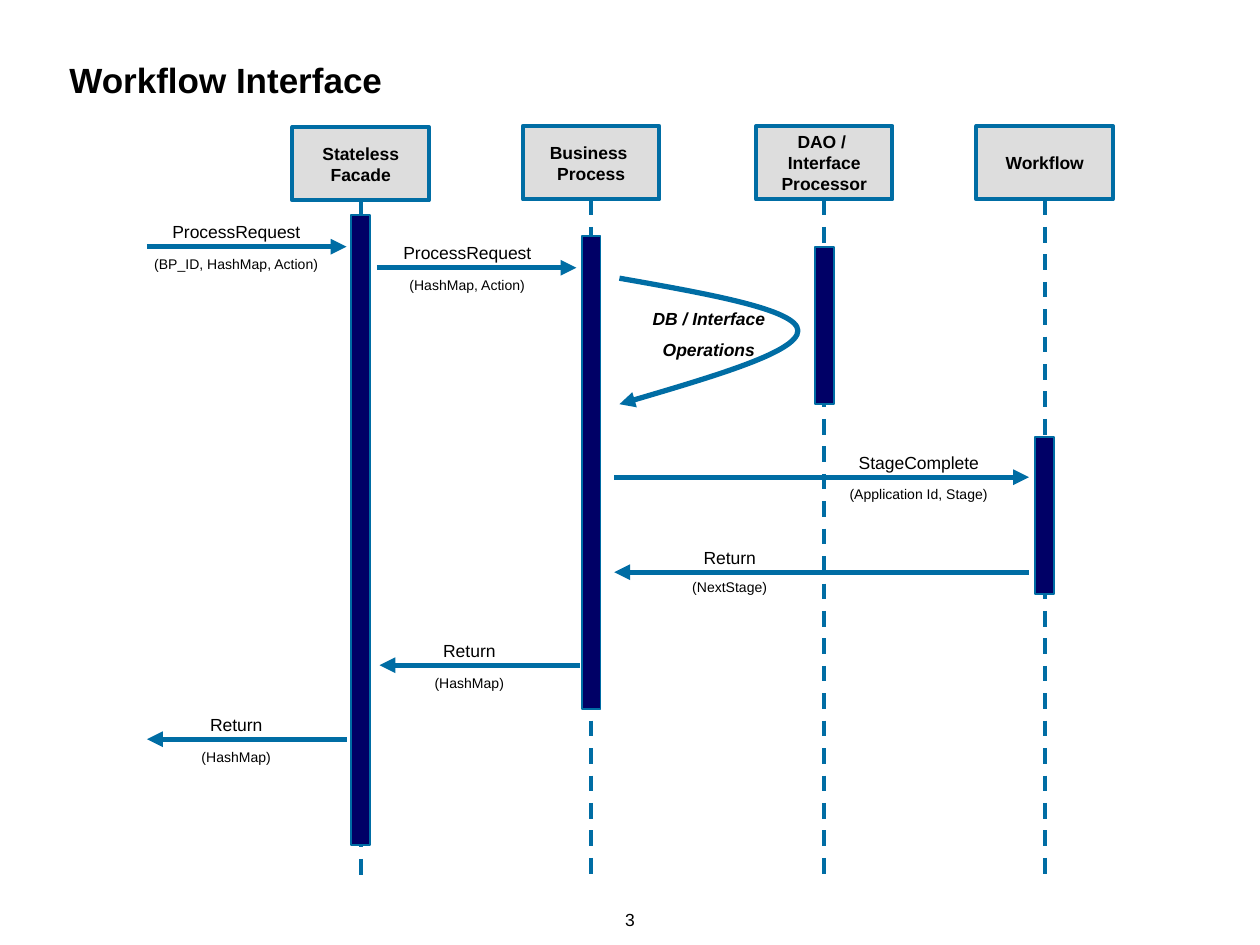
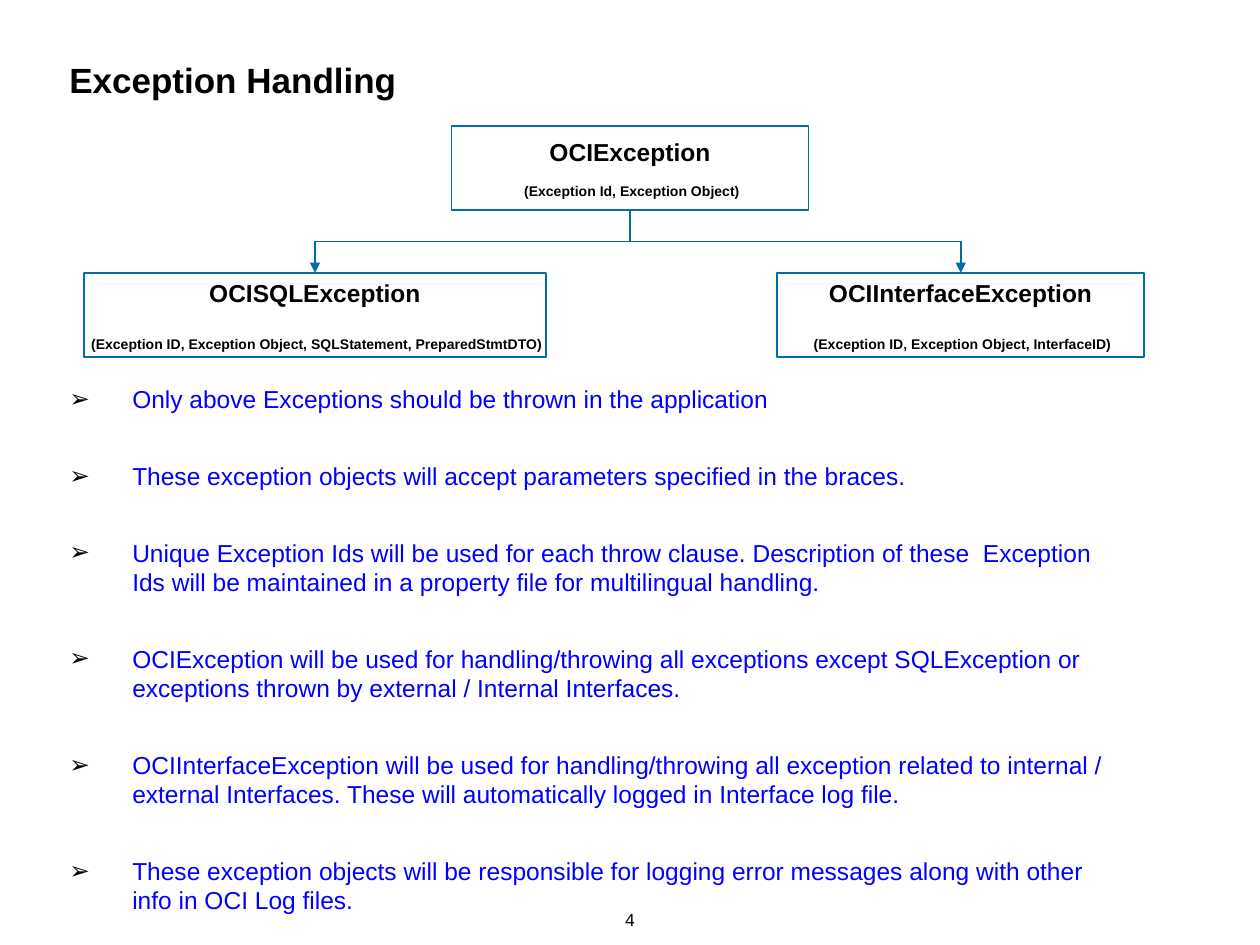
from lxml import etree
from pptx import Presentation
from pptx.dml.color import RGBColor
from pptx.enum.dml import MSO_LINE
from pptx.enum.shapes import MSO_CONNECTOR, MSO_SHAPE
from pptx.enum.text import MSO_ANCHOR, PP_ALIGN
from pptx.oxml.ns import qn
from pptx.util import Inches, Pt

UNIT = Inches(1) // 12
COLUMNS, ROWS = 120, 90
STRAIGHT, ELBOW = MSO_CONNECTOR.STRAIGHT, MSO_CONNECTOR.ELBOW
RECTANGLE = MSO_SHAPE.RECTANGLE
DASH = MSO_LINE.DASH
LEFT, CENTER = PP_ALIGN.LEFT, PP_ALIGN.CENTER
TOP, MIDDLE = MSO_ANCHOR.TOP, MSO_ANCHOR.MIDDLE
BOTTOM_SIDE, TOP_SIDE = 2, 0
FONT = "Arial"
BLACK, BLUE, TEAL, NAVY, GREY = "000000", "0000FF", "006DA4", "000066", "DDDDDD"

HEAD_WIDTH, HEAD_HEIGHT, BAR_WIDTH = 13, 7, 1.8
LIFELINE_END = 83.4
PARTICIPANTS = [
    (27.85, 12.1, ["Stateless", "Facade"], 20.5, 60),
    (49.8, 12, ["Business ", "Process"], 22.5, 45),
    (72, 12, ["DAO / ", "Interface", "Processor"], 23.5, 15),
    (93, 12, ["Workflow"], 41.6, 15),
]
MESSAGES = [
    (14, 33, 23.5, 15, "ProcessRequest", "(BP_ID, HashMap, Action)", 0.25),
    (35.9, 54.9, 25.5, 37, "ProcessRequest", "(HashMap, Action)", 0.25),
    (58.5, 98, 45.45, 80, "StageComplete", "(Application Id, Stage)", 0.25),
    (98, 58.5, 54.5, 62, "Return", "(NextStage)", 0),
    (55.2, 36.15, 63.35, 37.2, "Return", "(HashMap)", 0.35),
    (33, 14, 70.4, 15, "Return", "(HashMap)", 0.3),
]
LOOP_POINTS = [(59, 26.5), (67.5, 28), (76, 29.5), (76, 31.5),
               (76, 33.5), (67.5, 36), (59, 38.5)]
EXCEPTIONS = [
    (43, 12, 34, "OCIException", " (Exception Id, Exception Object)", 9.2),
    (8, 26, 44, "OCISQLException",
     " (Exception ID, Exception Object, SQLStatement, PreparedStmtDTO)", 16.1),
    (74, 26, 35, "OCIInterfaceException",
     " (Exception ID, Exception Object, InterfaceID)", 16.1),
]
RULES = [
    "Only above Exceptions should be thrown in the application",
    "These exception objects will accept parameters specified in the braces.",
    "Unique Exception Ids will be used for each throw clause. Description of these  "
    "Exception Ids will be maintained in a property file for multilingual handling.",
    "OCIException will be used for handling/throwing all exceptions except SQLException "
    "or exceptions thrown by external / Internal Interfaces.",
    "OCIInterfaceException will be used for handling/throwing all exception related to "
    "internal / external Interfaces. These will automatically logged in Interface log file.",
    "These exception objects will be responsible for logging error messages along with "
    "other info in OCI Log files.",
]


def color(value):
    """Turn a hex string into a colour."""
    return RGBColor.from_string(value)


def grid(*cells):
    """Turn grid units into lengths."""
    return [round(cell * UNIT) for cell in cells]


def set_frame(shape, inset=0.1, anchor=TOP, wrap=True):
    """Set the margins, anchor and wrapping of a text frame."""
    frame = shape.text_frame
    frame.margin_left = frame.margin_right = Inches(inset)
    frame.margin_top = frame.margin_bottom = Inches(0.05)
    frame.vertical_anchor = anchor
    frame.word_wrap = wrap
    return frame


def write(frame, text, size, before=0, align=CENTER, ink=BLACK, bold=False, italic=False):
    """Add one paragraph with one run to a text frame."""
    first = frame.paragraphs[0]
    para = frame.add_paragraph() if first.runs else first
    para.alignment = align
    para.space_before = Pt(before)
    span = para.add_run()
    span.text = text
    span.font.name, span.font.size = FONT, Pt(size)
    span.font.bold, span.font.italic = bold, italic
    span.font.color.rgb = color(ink)
    return para


def add_text(page, place, **frame_options):
    """Add a text box and return its frame."""
    return set_frame(page.shapes.add_textbox(*grid(*place)), **frame_options)


def add_box(page, place, fill, weight):
    """Add an outlined rectangle, filled if a colour is given."""
    box = page.shapes.add_shape(RECTANGLE, *grid(*place))
    box.shadow.inherit = False
    if fill:
        box.fill.solid()
        box.fill.fore_color.rgb = color(fill)
    else:
        box.fill.background()
    style_line(box, weight)
    return box


def style_line(shape, weight, arrow=False):
    """Colour an outline and give it an arrowhead on request."""
    shape.line.color.rgb = color(TEAL)
    shape.line.width = Pt(weight)
    if arrow:
        etree.SubElement(shape.line._get_or_add_ln(), qn("a:tailEnd"), type="triangle")


def add_line(page, start, end, weight, kind=STRAIGHT, arrow=False):
    """Add a connector without a shadow."""
    line = page.shapes.add_connector(kind, *grid(*start, *end))
    style_line(line, weight, arrow)
    etree.SubElement(line._element.spPr, qn("a:effectLst"))
    return line


def add_page(deck, title, number):
    """Add a blank page with its title and page number."""
    page = deck.slides.add_slide(deck.slide_layouts[6])
    write(add_text(page, (6, 5, 71.2, 5.2), inset=0.05), title, 20, align=LEFT, bold=True)
    footer = add_text(page, (55, 86.4, 10, 2.8), wrap=False)
    write(footer, str(number), 10).line_spacing = 0.8
    return page


def add_participant(page, left, top, names, bar_top, bar_height):
    """Add a head with its lifeline and activation bar."""
    head = add_box(page, (left, top, HEAD_WIDTH, HEAD_HEIGHT), GREY, 2.25)
    frame = set_frame(head, anchor=MIDDLE, wrap=False)
    for name in names:
        write(frame, name, 10, bold=True)
    center = left + HEAD_WIDTH / 2
    lifeline = add_line(page, (center, top + HEAD_HEIGHT), (center, LIFELINE_END), 2.25)
    lifeline.line.dash_style = DASH
    lifeline.begin_connect(head, BOTTOM_SIDE)
    add_box(page, (center - BAR_WIDTH / 2, bar_top, BAR_WIDTH, bar_height), NAVY, 1)


def add_message(page, start, end, row, label_left, label, detail, gap):
    """Add an arrow with a label above and its arguments below."""
    add_line(page, (start, row), (end, row), 3, arrow=True)
    write(add_text(page, (label_left, row - 3, 15, 3.2)), label, 10, 6.2)
    write(add_text(page, (label_left - 3, row + gap, 21, 2.9)), detail, 8, 5)


def add_loop(page):
    """Add the curved arrow, three points to each Bézier segment."""
    points = [grid(*point) for point in LOOP_POINTS]
    builder = page.shapes.build_freeform(*points[0])
    builder.add_line_segments(points[1:], close=False)
    loop = builder.convert_to_shape()
    loop.shadow.inherit = False
    loop.fill.background()
    style_line(loop, 3, arrow=True)
    steps = list(loop._element.iter(qn("a:lnTo")))
    outline = steps[0].getparent()
    for first in range(0, len(steps), 3):
        curve = etree.SubElement(outline, qn("a:cubicBezTo"))
        for step in steps[first:first + 3]:
            curve.append(step[0])
            outline.remove(step)


def add_exception(page, left, top, width, name, arguments, gap):
    """Add a box with an exception's name and arguments."""
    box = add_box(page, (left, top, width, 8), None, 1)
    frame = set_frame(box, anchor=MIDDLE, wrap=False)
    write(frame, name, 14, bold=True)
    write(frame, arguments, 8, gap, bold=True)
    return box


def add_branch(page, parent, child):
    """Join two boxes by an elbow that leaves downwards."""
    branch = add_line(page, (0, 0), (1, 1), 1, ELBOW, arrow=True)
    branch.begin_connect(parent, BOTTOM_SIDE)
    branch.end_connect(child, TOP_SIDE)
    goes_right = branch.end_x > branch.begin_x
    span, drop = branch.width, branch.height
    shift = (span - drop) // 2
    branch.left, branch.top = branch.left + shift, branch.top - shift
    branch.width, branch.height = drop, span
    frame = branch._element.spPr.find(qn("a:xfrm"))
    frame.set("rot", str((270 if goes_right else 90) * 60000))
    frame.set("flipH", str(int(goes_right)))


def add_bullet(para):
    """Give a paragraph a hanging black arrow bullet."""
    props = para._p.get_or_add_pPr()
    props.set("marL", str(Inches(0.5)))
    props.set("indent", str(-Inches(0.5)))
    ink = etree.SubElement(props, qn("a:buClr"))
    etree.SubElement(ink, qn("a:srgbClr"), val=BLACK)
    etree.SubElement(props, qn("a:buFont"), typeface=FONT)
    etree.SubElement(props, qn("a:buChar"), char="➢")


def build_workflow(deck):
    """Build the sequence diagram."""
    page = add_page(deck, "Workflow Interface", 3)
    for participant in PARTICIPANTS:
        add_participant(page, *participant)
    for message in MESSAGES:
        add_message(page, *message)
    add_loop(page)
    frame = add_text(page, (60, 28.7, 15, 6.2))
    for text in ("DB / Interface", "Operations"):
        write(frame, text, 10, 6.2, bold=True, italic=True)


def build_exceptions(deck):
    """Build the exception tree and its rules."""
    page = add_page(deck, "Exception Handling", 4)
    parent, *children = [add_exception(page, *entry) for entry in EXCEPTIONS]
    for child in children:
        add_branch(page, parent, child)
    frame = add_text(page, (6, 36, 101.8, 52), inset=0.05)
    for index, rule in enumerate(RULES):
        add_bullet(write(frame, rule, 14, 27 if index else 5.2, LEFT, BLUE))


def main():
    """Build and save the deck."""
    deck = Presentation()
    deck.slide_width, deck.slide_height = grid(COLUMNS, ROWS)
    build_workflow(deck)
    build_exceptions(deck)
    deck.save("out.pptx")


if __name__ == "__main__":
    main()
